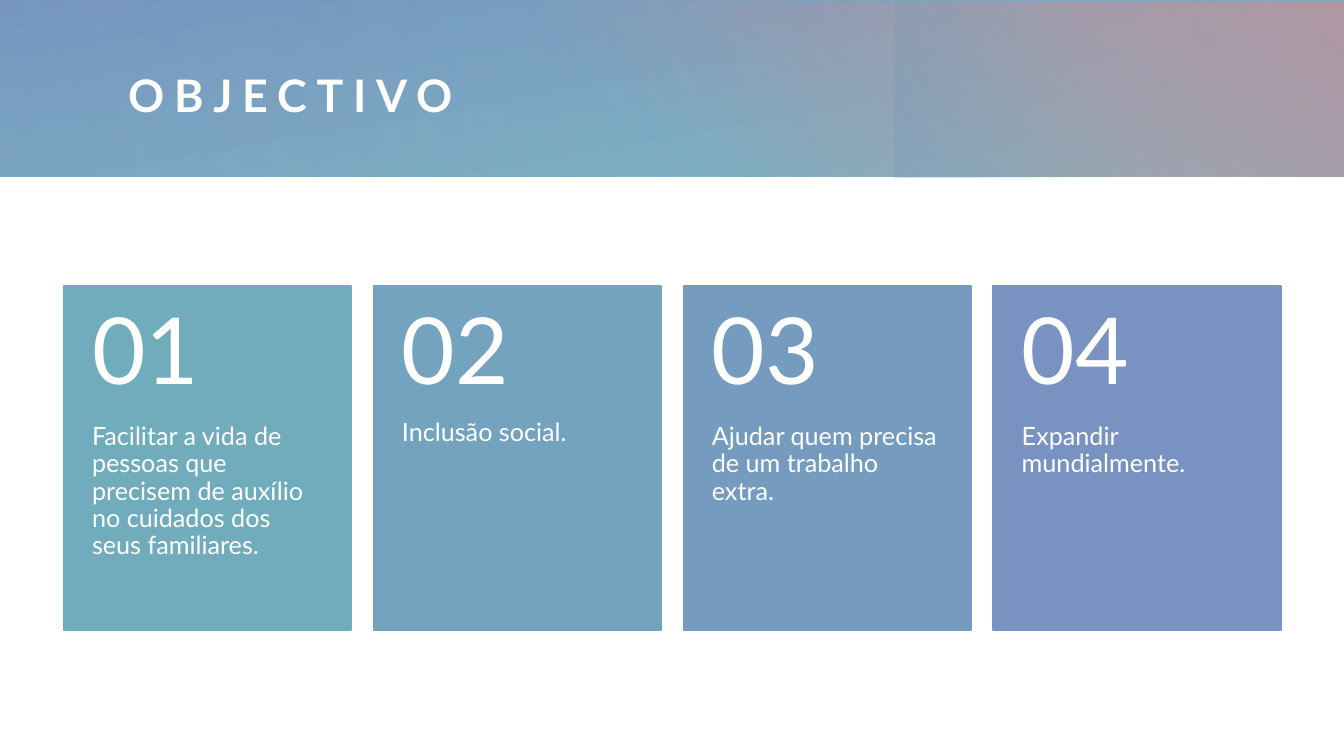
from lxml.etree import SubElement
from pptx import Presentation
from pptx.dml.color import RGBColor
from pptx.enum.shapes import MSO_SHAPE
from pptx.enum.text import MSO_ANCHOR
from pptx.oxml.ns import qn
from pptx.util import Cm, Pt

COLOURS = {
    "white": "FFFFFF",
    "teal": "70ACBC",
    "green": "6DAFA2",
    "sky": "73A3BE",
    "steel": "759BBF",
    "blue": "7893C1",
    "pink": "CC9099",
}

# Left, top, width, height, rotation, clockwise gradient angle,
# then two stops of position %, colour and opacity %
BANNER_LAYERS = [
    (0, 0, 33.87, 4.45, 0, 260, (0, "teal", 83), (100, "blue", 100)),
    (12.22, 0.03, 21.65, 4.42, 0, 310, (22, "pink", 0), (99, "pink", 100)),
    (25.07, -2.51, 4.45, 9.5, 270, 250, (45, "green", 0), (99, "blue", 33)),
    (6.82, 0, 27.03, 4.45, 180, 330, (0, "teal", 30), (99, "teal", 0)),
    (0, 0, 21.97, 4.45, 0, 340, (0, "teal", 21), (99, "teal", 0)),
]

OBJECTIVES = [
    ("teal", "Facilitar a vida de pessoas que precisem de auxílio no cuidados dos seus familiares."),
    ("sky", "Inclusão social."),
    ("steel", "Ajudar quem precisa de um trabalho extra."),
    ("blue", "Expandir mundialmente."),
]

CARD_LEFT, CARD_TOP, CARD_STEP = 1.6, 7.21, 7.81
CARD_WIDTH, CARD_HEIGHT, NUMBER_HEIGHT = 7.25, 8.67, 3.47


def set_format(target, values):
    for name, value in values.items():
        setattr(target, name, value)


class SlideBuilder:
    def __init__(self, slide, font_name):
        self.slide = slide
        self.font_name = font_name

    def colour(self, name):
        return RGBColor.from_string(COLOURS[name])

    def rectangle(self, parent, box):
        shape = parent.add_shape(MSO_SHAPE.RECTANGLE, *map(Cm, box))
        shape.shadow.inherit = False
        return shape

    def gradient_layer(self, box, rotation, angle, stops):
        shape = self.rectangle(self.slide.shapes, box)
        shape.rotation = rotation
        shape.line.fill.background()
        shape.fill.gradient()
        shape.fill.gradient_angle = 360 - angle
        for stop, (position, name, _) in zip(shape.fill.gradient_stops, stops):
            stop.position = position / 100
            stop.color.rgb = self.colour(name)
        for element, (_, _, opacity) in zip(shape.element.spPr.iter(qn("a:srgbClr")), stops):
            SubElement(element, qn("a:alpha"), val=str(opacity * 1000))

    def text(self, parent, box, text, size, insets=(0, 0, 0, 0),
             anchor=MSO_ANCHOR.TOP, line_spacing=1.0, bold=False, tracking=0):
        frame = parent.add_textbox(*map(Cm, box)).text_frame
        sides = ("margin_left", "margin_top", "margin_right", "margin_bottom")
        set_format(frame, dict(zip(sides, map(Cm, insets))))
        set_format(frame, {"word_wrap": True, "vertical_anchor": anchor})
        paragraph = frame.paragraphs[0]
        paragraph.line_spacing = line_spacing
        run = paragraph.add_run()
        run.text = text
        set_format(run.font, {"name": self.font_name, "size": Pt(size), "bold": bold})
        run.font.color.rgb = self.colour("white")
        if tracking:
            run._r.get_or_add_rPr().set("spc", str(tracking * 100))

    def card(self, left, number, colour_name, text):
        parent = self.slide.shapes.add_group_shape().shapes
        panel = self.rectangle(parent, (left, CARD_TOP, CARD_WIDTH, CARD_HEIGHT))
        panel.line.width = Pt(1)
        for fill in (panel.fill, panel.line.fill):
            fill.solid()
            fill.fore_color.rgb = self.colour(colour_name)
        text_box = (left, CARD_TOP + NUMBER_HEIGHT, CARD_WIDTH, CARD_HEIGHT - NUMBER_HEIGHT)
        self.text(parent, text_box, text, 18, (0.72, 0, 0.72, 0.91), line_spacing=0.9)
        number_box = (left, CARD_TOP, CARD_WIDTH, NUMBER_HEIGHT)
        self.text(parent, number_box, f"{number:02d}", 66, (0.72, 0.46, 0.72, 0.46),
                  MSO_ANCHOR.MIDDLE, line_spacing=0.9)


def main():
    presentation = Presentation()
    set_format(presentation, {"slide_width": Cm(33.87), "slide_height": Cm(19.05)})
    slide = presentation.slides.add_slide(presentation.slide_layouts[6])
    builder = SlideBuilder(slide, "Lato")

    # Banner with layered gradients
    for *box, rotation, angle, first, last in BANNER_LAYERS:
        builder.gradient_layer(box, rotation, angle, (first, last))

    # Title
    builder.text(slide.shapes, (3.23, 1.04, 28.83, 2.69), "OBJECTIVO", 32,
                 anchor=MSO_ANCHOR.MIDDLE, bold=True, tracking=7)

    # Numbered objective cards
    for index, (colour_name, text) in enumerate(OBJECTIVES):
        builder.card(CARD_LEFT + index * CARD_STEP, index + 1, colour_name, text)

    presentation.save("out.pptx")


if __name__ == "__main__":
    main()
